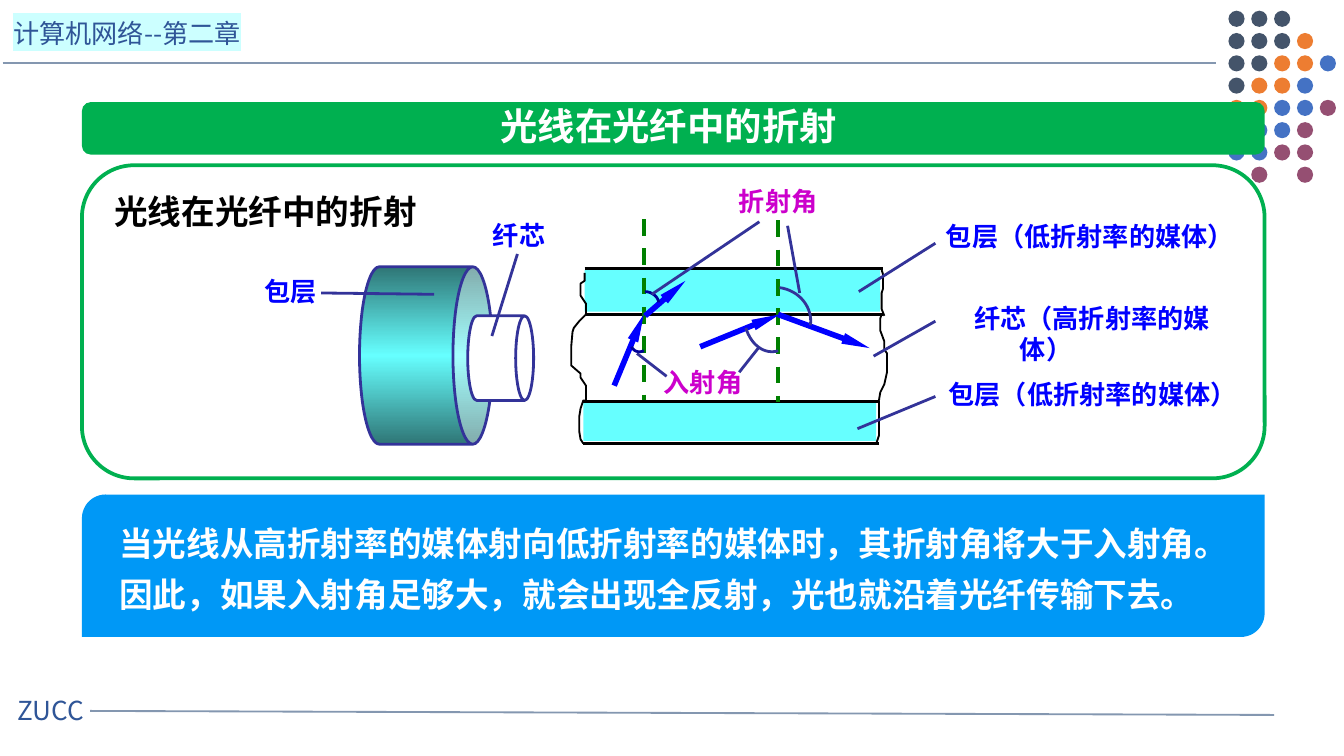
"""Build the slide on how light refracts inside an optical fibre."""
from dataclasses import dataclass
from typing import NamedTuple, Optional

from lxml.etree import SubElement
from pptx import Presentation
from pptx.dml.color import RGBColor
from pptx.enum.dml import MSO_LINE as Dash
from pptx.enum.shapes import MSO_CONNECTOR as Connector, MSO_SHAPE as Shape
from pptx.enum.text import MSO_AUTO_SIZE as AutoSize, PP_ALIGN as Align
from pptx.oxml import parse_xml
from pptx.oxml.ns import nsdecls, qn
from pptx.util import Inches, Pt


@dataclass(frozen=True)
class Theme:
    font: str = "Noto Sans CJK SC"
    title: int = 20
    body: int = 18
    label: int = 14
    white: str = "FFFFFF"
    black: str = "000000"
    header: str = "2F5597"
    highlight: str = "CCFFFF"
    rule: str = "8497B0"
    green: str = "00B050"
    banner: str = "0098F6"
    cladding: str = "66FFFF"
    shade: str = "2F7676"
    ray: str = "0000FF"
    normal: str = "008000"
    angle: str = "CC00CC"
    outline: str = "333399"
    navy: str = "000099"


THEME = Theme()
Point = tuple[float, float]


class Line(NamedTuple):
    start: Point
    end: Point
    color: str = THEME.outline
    width: float = 1.5
    dashed: bool = False
    arrow: bool = False


class Block(NamedTuple):
    kind: Shape
    box: tuple
    fill: str
    line: Optional[str] = None
    width: float = 1.5
    adjust: Optional[float] = None
    rotation: int = 0


class Label(NamedTuple):
    text: str
    box: tuple
    color: str = THEME.ray
    size: int = THEME.label
    bold: bool = True
    wrap: bool = True
    align: Align = Align.LEFT
    margin: float = 0
    indent: float = 0
    right: float = 0.1
    spacing: Optional[int] = None
    highlight: Optional[str] = None


class Curve(NamedTuple):
    points: list
    color: str = THEME.black
    width: float = 1


def draw_line(page, item: Line) -> None:
    """Draw a straight line, dashed or with an arrowhead if asked."""
    ends = [Inches(v) for v in (*item.start, *item.end)]
    line = page.shapes.add_connector(Connector.STRAIGHT, *ends)
    line.line.color.rgb = RGBColor.from_string(item.color)
    line.line.width = Pt(item.width)
    if item.dashed:
        line.line.dash_style = Dash.DASH
    properties = line._element.spPr
    if item.arrow:
        SubElement(properties.find(qn("a:ln")), qn("a:tailEnd"), type="triangle", w="sm", len="lg")
    SubElement(properties, qn("a:effectLst"))


def draw_block(page, item: Block):
    """Draw a filled preset shape and return it."""
    block = page.shapes.add_shape(item.kind, *map(Inches, item.box))
    block.shadow.inherit = False
    block.rotation = item.rotation
    block.fill.solid()
    block.fill.fore_color.rgb = RGBColor.from_string(item.fill)
    if item.line:
        block.line.color.rgb = RGBColor.from_string(item.line)
        block.line.width = Pt(item.width)
    else:
        block.line.fill.background()
    if item.adjust is not None:
        block.adjustments[0] = item.adjust
    return block


def shade_block(block) -> None:
    """Give a shape the dark, light, dark gradient of the cladding."""
    block.fill.gradient()
    block.fill.gradient_angle = 0
    stops = block._element.spPr.find(qn("a:gradFill")).find(qn("a:gsLst"))
    for stop in list(stops):
        stops.remove(stop)
    for place, color in ((0, THEME.shade), (50, THEME.cladding), (100, THEME.shade)):
        stops.append(parse_xml(f'<a:gs {nsdecls("a")} pos="{place * 1000}"><a:srgbClr val="{color}"/></a:gs>'))


def draw_curve(page, item: Curve) -> None:
    """Draw an open outline through the given points."""
    first, *rest = [(Inches(x), Inches(y)) for x, y in item.points]
    builder = page.shapes.build_freeform(*first, scale=1.0)
    builder.add_line_segments(rest, close=False)
    curve = builder.convert_to_shape()
    curve.shadow.inherit = False
    curve.fill.background()
    curve.line.color.rgb = RGBColor.from_string(item.color)
    curve.line.width = Pt(item.width)


def bezier(*controls: Point, steps: int = 16) -> list[Point]:
    """Return points along a cubic curve."""
    weights = [((1 - t) ** 3, 3 * t * (1 - t) ** 2, 3 * t * t * (1 - t), t ** 3)
               for t in (step / steps for step in range(steps + 1))]
    return [tuple(sum(w * c[axis] for w, c in zip(row, controls)) for axis in (0, 1))
            for row in weights]


def draw_label(page, item: Label) -> None:
    """Draw a one-paragraph text box."""
    box = page.shapes.add_textbox(*map(Inches, item.box))
    frame = box.text_frame
    formats = {"word_wrap": item.wrap, "auto_size": AutoSize.SHAPE_TO_FIT_TEXT,
               "margin_right": Inches(item.right)}
    for name, value in formats.items():
        setattr(frame, name, value)
    para = frame.paragraphs[0]
    para.alignment = item.align
    if item.margin:
        para._p.get_or_add_pPr().set("marL", str(Inches(item.margin)))
        para._p.get_or_add_pPr().set("indent", str(Inches(item.indent)))
    if item.spacing:
        para.line_spacing = Pt(item.spacing)
    span = para.add_run()
    span.text = item.text
    for name, value in {"name": THEME.font, "size": Pt(item.size), "bold": item.bold}.items():
        setattr(span.font, name, value)
    span.font.color.rgb = RGBColor.from_string(item.color)
    properties = span._r.get_or_add_rPr()
    if item.highlight:
        properties.find(qn("a:solidFill")).addnext(parse_xml(
            f'<a:highlight {nsdecls("a")}><a:srgbClr val="{item.highlight}"/></a:highlight>'))
    properties.find(qn("a:latin")).addnext(parse_xml(
        f'<a:ea {nsdecls("a")} typeface="{THEME.font}"/>'))


def draw_master(page) -> None:
    """Draw the header, the footer and the corner dots."""
    draw_line(page, Line((0.02, 0.47), (9.05, 0.47), THEME.rule, 1))
    draw_line(page, Line((0.67, 5.29), (9.48, 5.32), THEME.rule, 1))
    draw_label(page, Label("ZUCC", (0.03, 5.12, 0.89, 0.34), THEME.header, bold=False))
    draw_label(page, Label("计算机网络--第二章", (0, 0.08, 2.16, 0.34), THEME.header,
                           bold=False, highlight=THEME.highlight))
    colors = {"S": "44546A", "O": "ED7D31", "B": "4472C4", "P": "954F72"}
    rows = ("SSS", "SSSO", "SSOOB", "SOOB", "OOBBP", " BBP", "BBPP", " P P")
    for row, marks in enumerate(rows):
        for column, mark in enumerate(marks):
            if mark in colors:
                place = (9.14 + 0.17 * column, 0.08 + 1.16 / 7 * row, 0.12, 0.12)
                draw_block(page, Block(Shape.OVAL, place, colors[mark]))


def draw_section(page) -> None:
    """Draw the fibre cut lengthwise with its rays and angles."""
    for left, right, top, bottom in ((4.35, 6.57, 2, 2.34), (4.34, 6.54, 2.99, 3.3)):
        for height in (top, bottom):
            draw_line(page, Line((left, height), (right, height), THEME.black))
        draw_block(page, Block(Shape.RECTANGLE, (left, top + 0.01, right - left - 0.02, bottom - top - 0.03),
                               THEME.cladding))
    for x, top in ((4.79, 1.63), (5.79, 1.64)):
        draw_line(page, Line((x, top), (x, top + 1.35), THEME.normal, 2.25, dashed=True))
    for start, end in (((4.57, 2.87), (4.79, 2.34)), ((5.21, 2.58), (5.8, 2.34)),
                       ((5.79, 2.34), (6.47, 2.59)), ((4.8, 2.35), (5.1, 2.09))):
        draw_line(page, Line(start, end, THEME.ray, 3, arrow=True))
    for color, *controls in (
            (THEME.navy, (4.79, 2.61), (4.75, 2.63), (4.71, 2.61), (4.7, 2.58)),
            (THEME.navy, (4.8, 2.17), (4.85, 2.17), (4.9, 2.21), (4.9, 2.25)),
            (THEME.outline, (5.79, 2.61), (5.69, 2.64), (5.59, 2.57), (5.55, 2.44)),
            (THEME.outline, (5.8, 2.14), (5.95, 2.16), (6.05, 2.29), (6.03, 2.42))):
        draw_curve(page, Curve(bezier(*controls), color, 1.5))
    left_edge = [(4.35, 2.03), (4.35, 2.09), (4.32, 2.11), (4.32, 2.2), (4.36, 2.26), (4.36, 2.34),
                 (4.31, 2.39), (4.27, 2.44), (4.26, 2.47), (4.25, 2.58), (4.25, 2.72), (4.32, 2.78),
                 (4.32, 2.81), (4.36, 2.87), (4.36, 2.98), (4.34, 2.98), (4.32, 3.04), (4.31, 3.1),
                 (4.31, 3.21), (4.32, 3.27), (4.34, 3.3)]
    upper_edge = [(6.56, 2.01), (6.57, 2.04), (6.57, 2.15), (6.56, 2.18), (6.56, 2.3), (6.58, 2.35)]
    core_edge = [(6.56, 2.34), (6.55, 2.37), (6.55, 2.46), (6.58, 2.54), (6.58, 2.6), (6.6, 2.63),
                 (6.6, 2.77), (6.58, 2.86), (6.55, 2.92), (6.54, 2.98)]
    lower_edge = [(6.54, 2.98), (6.54, 3.24), (6.52, 3.3)]
    for edge in (left_edge, upper_edge, core_edge, lower_edge):
        draw_curve(page, Curve(edge))


def draw_cable(page) -> None:
    """Draw the fibre end with its core sticking out."""
    shade_block(draw_block(page, Block(Shape.CAN, (2.51, 2.15, 1.32, 0.99), THEME.cladding,
                                       THEME.outline, adjust=0.298, rotation=90)))
    draw_block(page, Block(Shape.CAN, (3.41, 2.42, 0.63, 0.49), THEME.white,
                           THEME.outline, adjust=0.273, rotation=90))


def main() -> None:
    """Assemble the slide and save it."""
    deck = Presentation()
    deck.slide_width = Inches(10)
    deck.slide_height = deck.slide_width * 9 // 16
    page = deck.slides.add_slide(deck.slide_layouts[6])
    draw_master(page)
    for block in (Block(Shape.ROUNDED_RECTANGLE, (0.61, 0.76, 8.8, 0.39), THEME.green),
                  Block(Shape.ROUNDED_RECTANGLE, (0.61, 1.23, 8.8, 2.33), THEME.white, THEME.green, 2),
                  Block(Shape.ROUND_2_DIAG_RECTANGLE, (0.61, 3.68, 8.8, 1.06), THEME.banner)):
        draw_block(page, block)
    draw_section(page)
    draw_cable(page)
    for start, end in (((5.86, 1.68), (5.95, 2.18)), ((4.85, 2.19), (5.65, 1.65)),
                       ((4.74, 2.63), (4.96, 2.8)), ((5.5, 2.77), (5.65, 2.58)),
                       ((6.5, 2.65), (6.96, 2.39)), ((6.96, 1.81), (6.39, 2.17)),
                       ((6.96, 2.95), (6.38, 3.19)), ((2.39, 2.18), (3.23, 2.19)),
                       ((3.85, 1.89), (3.66, 2.5))):
        draw_line(page, Line(start, end))
    for label in (
            Label("光线在光纤中的折射", (3.57, 0.72, 2.81, 0.44), THEME.white, THEME.title, align=Align.CENTER),
            Label("光线在光纤中的折射", (0.72, 1.37, 2.51, 0.4), THEME.black, THEME.body, align=Align.CENTER),
            Label("折射角", (5.4, 1.33, 0.79, 0.33), THEME.angle, wrap=False),
            Label("入射角", (4.84, 2.68, 0.83, 0.33), THEME.angle),
            Label("包层", (1.87, 2, 0.59, 0.34), wrap=False),
            Label("纤芯", (3.57, 1.58, 0.7, 0.34)),
            Label("包层（低折射率的媒体）", (6.86, 1.59, 2.48, 0.34), margin=0.08),
            Label("纤芯（高折射率的媒体）", (6.85, 2.2, 2.42, 0.34), margin=0.64, indent=-0.34, right=0.2),
            Label("包层（低折射率的媒体）", (6.85, 2.77, 2.48, 0.34), margin=0.11),
            Label("当光线从高折射率的媒体射向低折射率的媒体时，其折射角将大于入射角。"
                  "因此，如果入射角足够大，就会出现全反射，光也就沿着光纤传输下去。",
                  (0.79, 3.77, 8.46, 0.86), THEME.white, THEME.body, spacing=27)):
        draw_label(page, label)
    deck.save("out.pptx")


if __name__ == "__main__":
    main()
